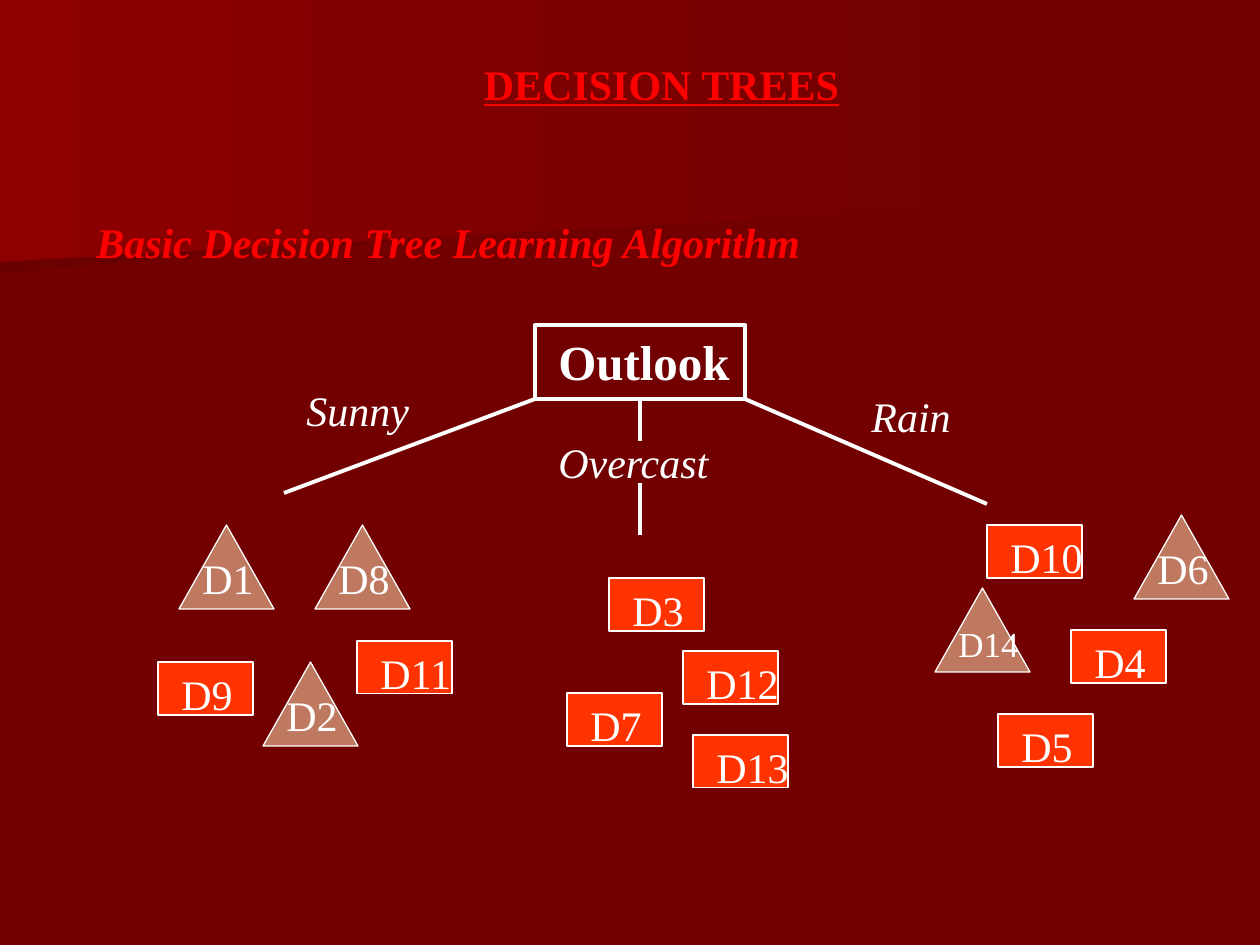
from pptx import Presentation
from pptx.dml.color import RGBColor
from pptx.enum.shapes import MSO_CONNECTOR, MSO_SHAPE
from pptx.enum.text import MSO_ANCHOR, MSO_AUTO_SIZE, PP_ALIGN
from pptx.oxml.ns import qn
from pptx.util import Pt
from lxml import etree

PX = 914400 // 126  # EMU in one px
FONT = "Times New Roman"
WHITE = RGBColor(0xFF, 0xFF, 0xFF)
RED = RGBColor(0xFF, 0x00, 0x00)
ORANGE = RGBColor(0xFF, 0x33, 0x00)
CLAY = RGBColor(0xBE, 0x79, 0x60)
MAROON = RGBColor(0x72, 0x00, 0x00)
DARK_MAROON = RGBColor(0x6B, 0x00, 0x00)
BRIGHT_MAROON = RGBColor(0x8C, 0x00, 0x00)

# Content: backdrop bands as (gradient start, outline)
BANDS = [
    (DARK_MAROON, [(980, 193), (0, 273), (0, 127), (982, 127), (980, 161)]),
    (BRIGHT_MAROON, [(998, 204), (0, 262), (0, 0), (998, 0)]),
]
TITLE = ("DECISION TREES", (105, 52, 1113, 63))
SUBTITLE = ("Basic Decision Tree Learning Algorithm", (84, 210, 1126, 63))
ROOT = ("Outlook", (535, 325, 210, 74))

# Branch labels: text, left, top, width
BRANCHES = [
    ("Sunny", 294, 378, 130),
    ("Overcast", 546, 430, 178),
    ("Rain", 859, 384, 106),
]
BRANCH_LINES = [
    ((745, 399), (987, 504)),
    ((535, 399), (284, 493)),
    ((640, 399), (640, 441)),
    ((640, 483), (640, 535)),
]

# Training days: name, left, top
SQUARE_DAYS = [
    ("D13", 693, 735), ("D12", 683, 651), ("D11", 357, 641),
    ("D10", 987, 525), ("D9", 158, 662), ("D4", 1071, 630),
    ("D7", 567, 693), ("D5", 998, 714), ("D3", 609, 578),
]
TRIANGLE_DAYS = [
    ("D14", 935, 588), ("D8", 315, 525), ("D6", 1134, 515),
    ("D2", 263, 662), ("D1", 179, 525),
]
DAY_WIDTH, SQUARE_HEIGHT, TRIANGLE_HEIGHT = 95, 53, 84
LABEL_INDENT = 11


def emu(*lengths):
    return [length * PX for length in lengths]


def write(frame, text, size=24, color=WHITE, align=PP_ALIGN.LEFT, wrap=False, **style):
    frame.word_wrap = wrap
    frame.vertical_anchor = MSO_ANCHOR.TOP
    para = frame.paragraphs[0]
    para.alignment = align
    span = para.add_run()
    span.text = text
    span.font.name = FONT
    span.font.size = Pt(size)
    span.font.color.rgb = color
    for name, value in style.items():
        setattr(span.font, name, value)


def add_label(shapes, text, area, **style):
    box = shapes.add_textbox(*emu(*area))
    write(box.text_frame, text, **style)
    box.text_frame.auto_size = MSO_AUTO_SIZE.SHAPE_TO_FIT_TEXT


def add_outlined(shapes, kind, area, fill, weight):
    shape = shapes.add_shape(kind, *emu(*area))
    shape.shadow.inherit = False
    if fill is None:
        shape.fill.background()
    else:
        shape.fill.solid()
        shape.fill.fore_color.rgb = fill
    shape.line.color.rgb = WHITE
    shape.line.width = Pt(weight)


def add_day(shapes, name, left, top, kind, height, fill):
    group = shapes.add_group_shape().shapes
    add_outlined(group, kind, (left, top, DAY_WIDTH, height), fill, 0.75)
    # Long names in triangles are smaller; triangle labels sit at the base
    triangle = kind == MSO_SHAPE.ISOSCELES_TRIANGLE
    long_name = len(name) > 2
    size, label_height = (20, 56) if triangle and long_name else (24, 63)
    label_top = top + height - label_height if triangle else top
    label_width = (88 if triangle else 100) if long_name else 78
    area = (left + LABEL_INDENT, label_top, label_width, label_height)
    add_label(group, name, area, size=size)


def add_branch_line(shapes, start, end):
    line = shapes.add_connector(MSO_CONNECTOR.STRAIGHT, *emu(*start, *end))
    line.line.color.rgb = WHITE
    line.line.width = Pt(2.25)
    etree.SubElement(line._element.spPr, qn("a:effectLst"))


def add_band(shapes, start_color, outline):
    builder = shapes.build_freeform(*outline[0], scale=PX)
    builder.add_line_segments(outline[1:], close=True)
    band = builder.convert_to_shape()
    band.shadow.inherit = False
    band.line.fill.background()
    band.fill.gradient()
    band.fill.gradient_angle = 0
    for stop, color in zip(band.fill.gradient_stops, (start_color, MAROON)):
        stop.color.rgb = color


def main():
    deck = Presentation()
    deck.slide_width, deck.slide_height = emu(1260, 945)
    page = deck.slides.add_slide(deck.slide_layouts[5])
    shapes = page.shapes

    # Backdrop
    page.background.fill.solid()
    page.background.fill.fore_color.rgb = MAROON
    for start_color, outline in BANDS:
        add_band(shapes, start_color, outline)

    # Training days
    for day in SQUARE_DAYS:
        add_day(shapes, *day, MSO_SHAPE.RECTANGLE, SQUARE_HEIGHT, ORANGE)
    for day in TRIANGLE_DAYS:
        add_day(shapes, *day, MSO_SHAPE.ISOSCELES_TRIANGLE, TRIANGLE_HEIGHT, CLAY)

    # Root node
    text, area = ROOT
    left, top, width, height = area
    add_label(shapes, text, (left + LABEL_INDENT, top, 198, 72), size=28, bold=True)
    add_outlined(shapes, MSO_SHAPE.RECTANGLE, area, None, 2.25)

    # Branches
    for start, end in BRANCH_LINES:
        add_branch_line(shapes, start, end)
    for text, left, top, width in BRANCHES:
        add_label(shapes, text, (left, top, width, 63), italic=True)

    # Title and subtitle
    text, area = TITLE
    title = shapes.title
    title.left, title.top, title.width, title.height = emu(*area)
    write(title.text_frame, text, color=RED, align=PP_ALIGN.CENTER, wrap=True,
          bold=True, underline=True)
    # The title lies in front of the backdrop
    shapes._spTree.append(title._element)
    text, area = SUBTITLE
    add_label(shapes, text, area, color=RED, align=PP_ALIGN.JUSTIFY, wrap=True,
              bold=True, italic=True)

    deck.save("out.pptx")


if __name__ == "__main__":
    main()
